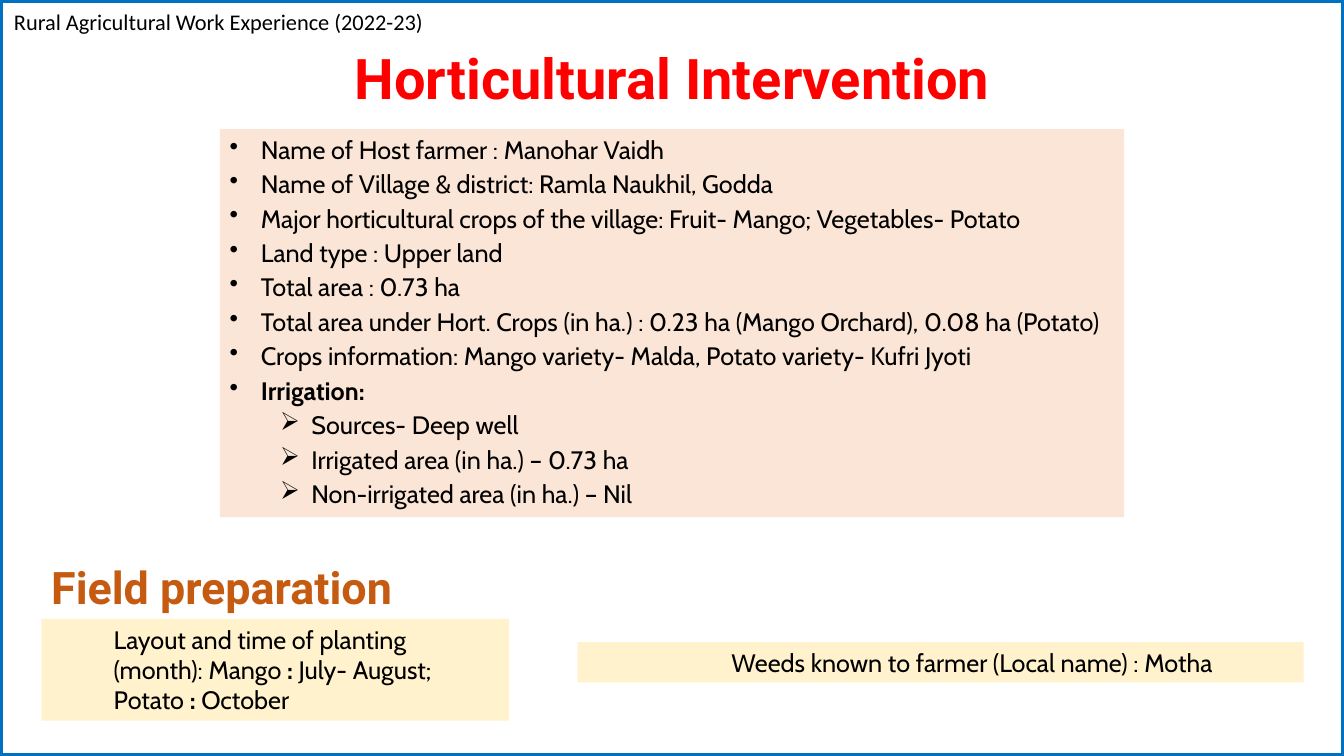
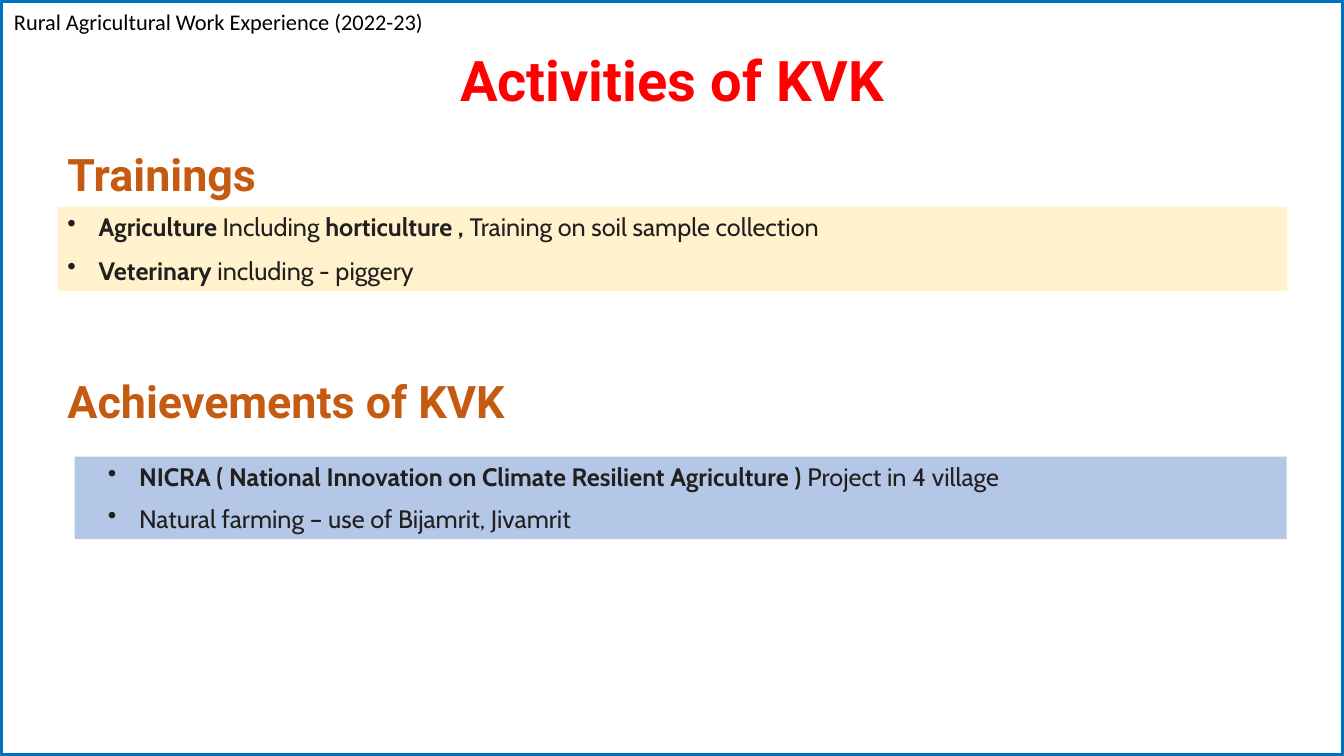
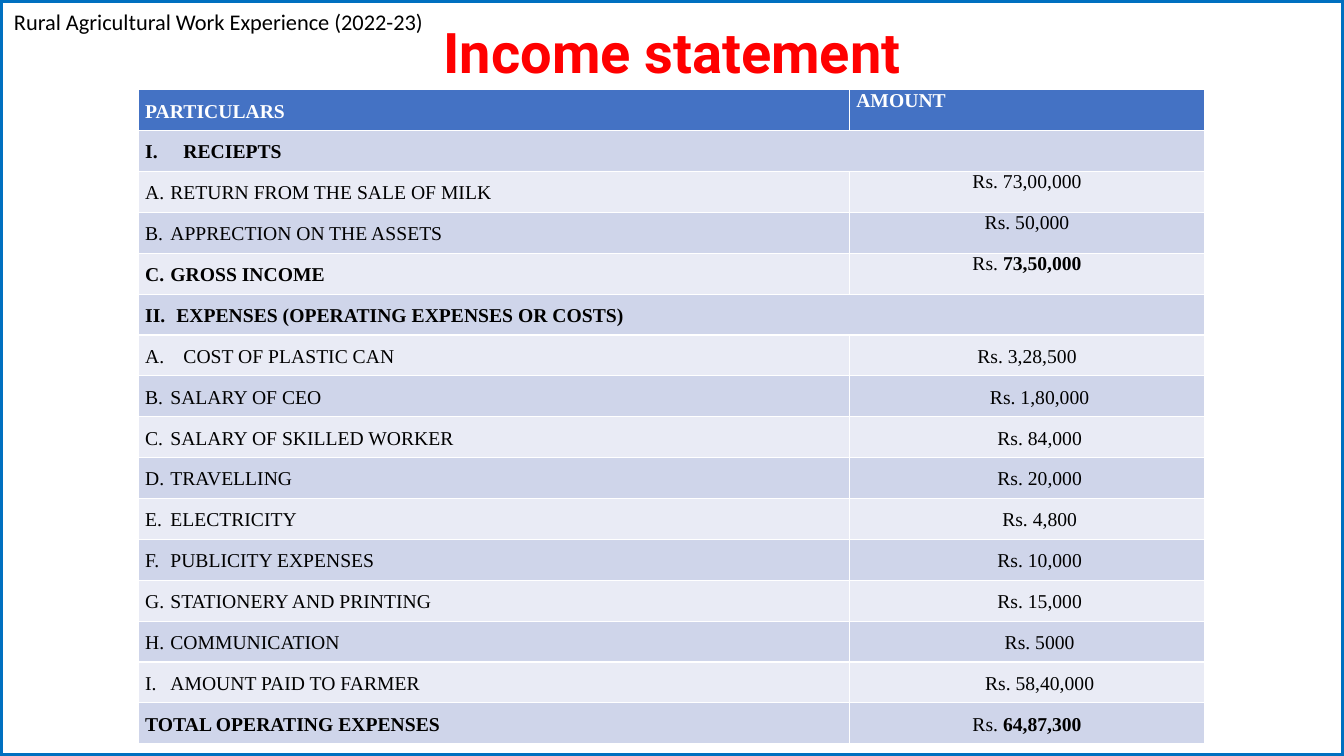
from lxml.etree import SubElement
from pptx import Presentation
from pptx.dml.color import RGBColor
from pptx.enum.shapes import MSO_SHAPE as Shape
from pptx.enum.text import MSO_ANCHOR as Anchor
from pptx.enum.text import MSO_AUTO_SIZE as Fit
from pptx.enum.text import PP_ALIGN as Align
from pptx.oxml.ns import qn
from pptx.util import Inches, Pt

BLACK = RGBColor(0x00, 0x00, 0x00)
WHITE = RGBColor(0xFF, 0xFF, 0xFF)
INK = RGBColor(0x22, 0x1F, 0x1F)
RED = RGBColor(0xFF, 0x00, 0x00)
RUST = RGBColor(0xC5, 0x5A, 0x11)
BLUE = RGBColor(0x00, 0x70, 0xC0)
PEACH = RGBColor(0xFB, 0xE5, 0xD6)
CREAM = RGBColor(0xFF, 0xF2, 0xCC)
SKY = RGBColor(0xB4, 0xC7, 0xE7)
HEAD = RGBColor(0x44, 0x72, 0xC4)
BANDS = (RGBColor(0xCF, 0xD5, 0xEA), RGBColor(0xE9, 0xEB, 0xF5))

WIDTH, HEIGHT = 13.33, 7.5
TITLE = ("Roboto", 40, RED)
TOPIC = ("Roboto", 32, RUST)
NOTE = ("Calibri", 16, BLACK)
BODY = ("Cabin", 18, BLACK)
DARK = ("Cabin", 18, INK)
CELL = ("Times New Roman", 14, BLACK)
TOP = ("Times New Roman", 14, WHITE)
DOT = ("buChar", {"char": "•"})
ARROW = ("buChar", {"char": "➢"})

FARM = [
    "Name of Host farmer : Manohar Vaidh",
    "Name of Village & district: Ramla Naukhil, Godda",
    "Major horticultural crops of the village: Fruit- Mango; Vegetables- Potato",
    "Land type : Upper land",
    "Total area : 0.73 ha",
    "Total area under Hort. Crops (in ha.) : 0.23 ha (Mango Orchard), 0.08 ha (Potato)",
    "Crops information: Mango variety- Malda, Potato variety- Kufri Jyoti",
    "**Irrigation:**",
]
WATER = [
    "Sources- Deep well",
    "Irrigated area (in ha.) – 0.73 ha",
    "Non-irrigated area (in ha.) – Nil",
]
TRAIN = [
    "**Agriculture** Including **horticulture ,** Training on soil sample collection",
    "**Veterinary** including - piggery",
]
WINS = [
    "**NICRA ( National Innovation on Climate Resilient Agriculture ) **Project in 4 village",
    "Natural farming – use of Bijamrit, Jivamrit",
]
GAINS = [
    ("RETURN FROM THE SALE OF MILK", "Rs. 73,00,000"),
    ("APPRECTION ON THE ASSETS", "Rs. 50,000"),
    ("**GROSS INCOME**", "Rs. **73,50,000**"),
]
COSTS = [
    ("COST OF PLASTIC CAN", "Rs. 3,28,500"),
    ("SALARY OF CEO", "Rs. 1,80,000"),
    ("SALARY OF SKILLED WORKER", "Rs. 84,000"),
    ("TRAVELLING", "Rs. 20,000"),
    ("ELECTRICITY", "Rs. 4,800"),
    ("PUBLICITY EXPENSES", "Rs. 10,000"),
    ("STATIONERY AND PRINTING", "Rs. 15,000"),
    ("COMMUNICATION", "Rs. 5000"),
    ("AMOUNT PAID TO FARMER", "Rs. 58,40,000"),
]


def write(par, text, font, align=Align.LEFT, left=0, hang=0, bullet=None,
          level=0, before=0, after=0, line=1.0):
    """Fill one paragraph; parts between double stars are bold."""
    for i, part in enumerate(text.split("**")):
        if part:
            run = par.add_run()
            run.text = part
            run.font.bold = i % 2 == 1
    par.alignment, par.level, par.line_spacing = align, level, line
    par.space_before, par.space_after = Pt(before), Pt(after)
    props = par._p.get_or_add_pPr()
    props.set("marL", str(Inches(left)))
    props.set("indent", str(Inches(-hang)))
    if bullet:
        tag, attrs = bullet
        SubElement(props, qn("a:" + tag), attrs)
    face, size, color = font
    par.font.name, par.font.size = face, Pt(size)
    par.font.color.rgb = color


def add_box(slide, at, fill=None):
    """Add a wrapping text box and return its text frame."""
    box = slide.shapes.add_textbox(*map(Inches, at))
    if fill is not None:
        box.fill.solid()
        box.fill.fore_color.rgb = fill
    frame = box.text_frame
    frame.word_wrap, frame.auto_size = True, Fit.SHAPE_TO_FIT_TEXT
    return frame


def add_text(slide, at, text, font, fill=None, **style):
    """Add a box holding one paragraph."""
    write(add_box(slide, at, fill).paragraphs[0], text, font, **style)


def add_list(frame, lines, font, gap=0, **style):
    """Add bulleted paragraphs, with a gap before all but the first."""
    for text in lines:
        first = not frame.paragraphs[0].runs
        par = frame.paragraphs[0] if first else frame.add_paragraph()
        write(par, text, font, hang=0.31, before=0 if first else gap, **style)


def add_slide(deck, title, top):
    """Start a slide with the blue frame, running head and title."""
    slide = deck.slides.add_slide(deck.slide_layouts[5])
    rim = slide.shapes.add_shape(Shape.RECTANGLE, 0, 0, Inches(WIDTH), Inches(HEIGHT))
    rim.shadow.inherit = False
    rim.fill.background()
    rim.line.color.rgb, rim.line.width = BLUE, Pt(4.5)
    add_text(slide, (0.04, 0.03, 4.27, 0.37),
             "Rural Agricultural Work Experience (2022-23)", NOTE)
    head = slide.shapes.title
    head.left, head.top, head.width, head.height = map(Inches, (0.24, top, 12.85, 0.77))
    frame = head.text_frame
    frame.auto_size, frame.vertical_anchor = Fit.NONE, Anchor.TOP
    write(frame.paragraphs[0], f"**{title}**", TITLE, Align.CENTER)
    return slide


def add_topic(slide, left, top, width, text):
    """Add a rust section heading."""
    add_text(slide, (left, top, width, 0.64), f"**{text}**", TOPIC)


def fill_cell(cell, color, text, font=CELL, **style):
    """Colour a table cell and write its text at the top."""
    cell.fill.solid()
    cell.fill.fore_color.rgb = color
    cell.margin_left = cell.margin_right = Inches(0.07)
    cell.margin_top = cell.margin_bottom = 0
    write(cell.text_frame.paragraphs[0], text, font, **style)


def number(kind, start):
    """Return an automatic number bullet."""
    return "buAutoNum", {"type": kind + "UcPeriod", "startAt": str(start)}


def add_income(slide, left, top, width, height):
    """Add the income table, its groups numbered by rule."""
    count = len(GAINS) + len(COSTS) + 4
    table = slide.shapes.add_table(count, 2, *map(Inches, (left, top, width, height))).table
    table.horz_banding = False
    table.columns[0].width = Inches(width * 2 / 3)
    table.columns[1].width = Inches(width / 3)
    label = {"align": Align.JUSTIFY, "line": 1.5}
    fill_cell(table.cell(0, 0), HEAD, "**PARTICULARS**", TOP, **label)
    fill_cell(table.cell(0, 1), HEAD, "**AMOUNT**", TOP)
    groups = (
        ("RECIEPTS", 0.38, GAINS, 0.25, 0, 1.0),
        ("EXPENSES (OPERATING EXPENSES OR COSTS)", 0.31, COSTS, 0.38, 0.25, 1.5),
    )
    row = 1
    for part, (name, tab, items, lead, shift, line) in enumerate(groups, 1):
        table.cell(row, 0).merge(table.cell(row, 1))
        fill_cell(table.cell(row, 0), BANDS[0], f"**{name}**", left=tab, hang=tab,
                  bullet=number("roman", part), **label)
        for i, (item, sum_text) in enumerate(items, 1):
            band = BANDS[i % 2]
            step = lead if i == 1 else 0.25
            fill_cell(table.cell(row + i, 0), band, item, left=step, hang=step,
                      bullet=number("alpha", i), **label)
            fill_cell(table.cell(row + i, 1), band, sum_text, align=Align.CENTER,
                      left=0 if i == 1 else shift, line=line)
        row += len(items) + 1
    fill_cell(table.cell(row, 0), BANDS[0], "**TOTAL OPERATING EXPENSES**", **label)
    fill_cell(table.cell(row, 1), BANDS[0], "Rs. **64,87,300**",
              align=Align.CENTER, line=1.5)


def add_crops(deck):
    """Build the horticulture slide."""
    slide = add_slide(deck, "Horticultural Intervention", 0.38)
    frame = add_box(slide, (2.18, 1.28, 8.97, 3.85), PEACH)
    style = {"align": Align.JUSTIFY, "after": 3}
    add_list(frame, FARM, BODY, left=0.31, bullet=DOT, **style)
    add_list(frame, WATER, BODY, left=0.81, bullet=ARROW, level=1, **style)
    add_text(slide, (0.41, 6.14, 4.64, 1.01),
             "Layout and time of planting (month): Mango **:** July- "
             "August; Potato **:** October", BODY, CREAM, left=0.62)
    add_topic(slide, 0.41, 5.5, 5.56, "Field preparation")
    add_text(slide, (5.73, 6.37, 7.2, 0.4),
             "Weeds known to farmer (Local name) : Motha", BODY, CREAM,
             align=Align.CENTER, left=0.62)


def add_centre(deck):
    """Build the activities slide."""
    slide = add_slide(deck, "Activities of KVK", 0.4)
    add_topic(slide, 0.57, 1.41, 2.49, "Trainings")
    add_list(add_box(slide, (0.57, 2.05, 12.2, 0.84), CREAM), TRAIN, DARK,
             gap=9.3, left=0.31, bullet=DOT)
    add_list(add_box(slide, (0.74, 4.53, 12.02, 0.82), SKY), WINS, DARK,
             left=0.54, bullet=DOT, after=8)
    add_topic(slide, 0.57, 3.66, 5.1, "Achievements of KVK")


def main():
    """Build and save the deck."""
    deck = Presentation()
    deck.slide_width, deck.slide_height = Inches(WIDTH), Inches(HEIGHT)
    add_crops(deck)
    add_centre(deck)
    add_income(add_slide(deck, "Income statement", 0.12), 1.37, 0.89, 10.58, 6.49)
    deck.save("out.pptx")


if __name__ == "__main__":
    main()
